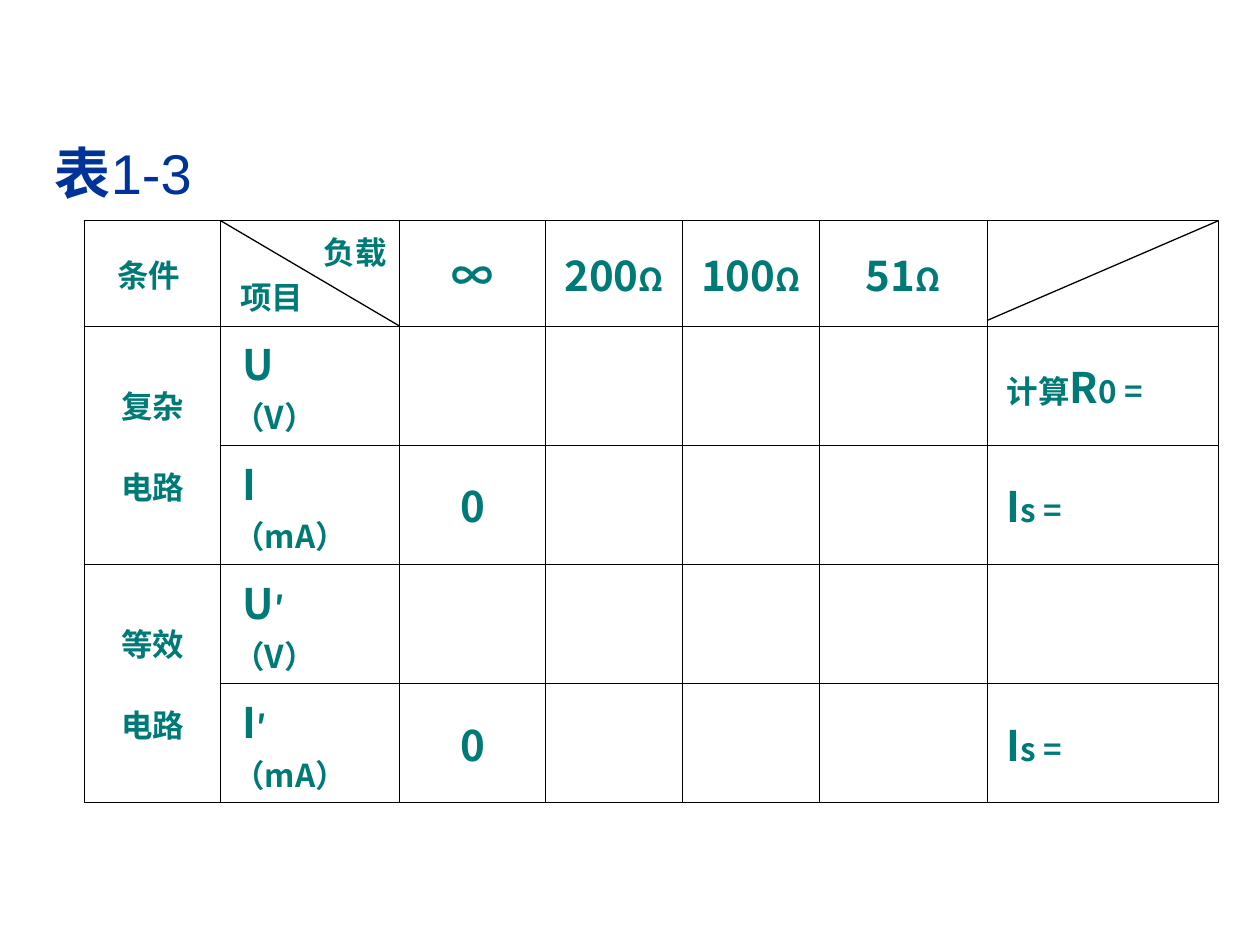
import itertools

import pptx
import pptx.dml.color
import pptx.enum.shapes
import pptx.enum.text
import pptx.oxml
import pptx.oxml.ns
import pptx.util
from pptx.util import Cm, Pt

ALIGN = pptx.enum.text.PP_ALIGN
MIDDLE = pptx.enum.text.MSO_ANCHOR.MIDDLE
BLUE, TEAL, BLACK = "003399", "007A77", "000000"
TITLE_FONT, TABLE_FONT = "Arial", "Noto Sans CJK SC"
BIG, SMALL = 24, 18

COLUMNS = [2.75, 3.6, 2.95, 2.76, 2.75, 3.39, 4.66]
ROWS = [2.12] + [2.33] * 4
LOADS = ["200", "100", "51"]


def color(value):
    return pptx.dml.color.RGBColor.from_string(value)


def add_run(p, text, size, font=TABLE_FONT, fill=TEAL, bold=True):
    r = p.add_run()
    r.text = text
    r.font.size = Pt(size)
    r.font.bold = bold
    r.font.name = font
    r.font.color.rgb = color(fill)
    ea = pptx.oxml.parse_xml(
        f'<a:ea {pptx.oxml.ns.nsdecls("a")} typeface="{font}"/>')
    r.font._element.find(pptx.oxml.ns.qn("a:latin")).addnext(ea)


def add_title(s, left, top, width, height):
    sp = s.shapes.title
    sp.left, sp.top, sp.width, sp.height = map(Cm, (left, top, width, height))
    tf = sp.text_frame
    tf.vertical_anchor = MIDDLE
    p = tf.paragraphs[0]
    p.alignment = ALIGN.LEFT
    add_run(p, "表", 32, TITLE_FONT, BLUE)
    add_run(p, "1-3", 32, TITLE_FONT, BLUE, False)
    add_run(p, " ", 44, TITLE_FONT, BLUE, False)


def add_line(s, x1, y1, x2, y2):
    line = s.shapes.add_connector(
        pptx.enum.shapes.MSO_CONNECTOR.STRAIGHT, *map(Cm, (x1, y1, x2, y2)))
    line.line.color.rgb = color(BLACK)
    line.line.width = Pt(0.75)
    line._element.spPr.append(pptx.oxml.parse_xml(
        f'<a:effectLst {pptx.oxml.ns.nsdecls("a")}/>'))


def format_cell(cell):
    """Clear the fill and draw thin black borders."""
    cell.vertical_anchor = MIDDLE
    cell.fill.background()
    cell.text_frame.paragraphs[0].font.size = Pt(SMALL)
    tc_pr = cell._tc.get_or_add_tcPr()
    for i, side in enumerate(("lnL", "lnR", "lnT", "lnB")):
        tc_pr.insert(i, pptx.oxml.parse_xml(
            f'<a:{side} {pptx.oxml.ns.nsdecls("a")} w="{Pt(0.45)}">'
            f'<a:solidFill><a:srgbClr val="{BLACK}"/></a:solidFill>'
            f'</a:{side}>'))


def write(cell, *runs, align=ALIGN.LEFT):
    """Fill the first paragraph with (text, size) runs; None breaks the line."""
    p = cell.text_frame.paragraphs[0]
    p.alignment = align
    for run in runs:
        if run is None:
            p.add_line_break()
        else:
            add_run(p, *run)


def write_second(cell, text, align, gap=0):
    p = cell.text_frame.add_paragraph()
    p.alignment = align
    p.space_before = Pt(gap)
    add_run(p, text, SMALL)


def add_measurements(s, left, top):
    frame = s.shapes.add_table(len(ROWS), len(COLUMNS), Cm(left), Cm(top),
                               Cm(sum(COLUMNS)), Cm(sum(ROWS)))
    table = frame.table
    table.first_row = table.horz_banding = False
    for column, width in zip(table.columns, COLUMNS):
        column.width = Cm(width)
    for row, height in zip(table.rows, ROWS):
        row.height = Cm(height)
    for cell in table.iter_cells():
        format_cell(cell)

    write(table.cell(0, 0), ("条件 ", SMALL), align=ALIGN.CENTER)
    corner = table.cell(0, 1)
    write(corner, ("负载", SMALL), align=ALIGN.RIGHT)
    write_second(corner, " 项目", ALIGN.LEFT)
    write(table.cell(0, 2), ("∞", BIG), align=ALIGN.CENTER)
    for c, load in enumerate(LOADS, 3):
        write(table.cell(0, c), (load, BIG), ("Ω", SMALL), align=ALIGN.CENTER)

    for r, name, prime in ((1, "复杂", ""), (3, "等效", "′")):
        circuit = table.cell(r, 0)
        circuit.merge(table.cell(r + 1, 0))
        write(circuit, (name, SMALL), align=ALIGN.CENTER)
        write_second(circuit, "电路", ALIGN.CENTER, gap=20)
        for i, (symbol, unit) in enumerate((("U", "（V）"), ("I", "（mA）"))):
            write(table.cell(r + i, 1), (" " + symbol, BIG), (prime, SMALL),
                  None, (unit, SMALL))
        write(table.cell(r + 1, 2), ("0", BIG), align=ALIGN.CENTER)
        write(table.cell(r + 1, 6), (" ", SMALL), ("I", BIG), ("s =", SMALL))
    write(table.cell(1, 6), (" 计算", SMALL), ("R", BIG), ("0 =", SMALL))

    edges = [left + x for x in itertools.accumulate(COLUMNS, initial=0)]
    add_line(s, edges[1], top, edges[2], top + ROWS[0])
    add_line(s, edges[7], top, edges[6], top + 2.01)


def main():
    prs = pptx.Presentation()
    prs.slide_width, prs.slide_height = Cm(25.4), Cm(19.05)
    s = prs.slides.add_slide(prs.slide_layouts[5])
    add_title(s, 0.85, 1.7, 23.72, 3.18)
    add_measurements(s, 1.7, 4.45)
    prs.save("out.pptx")


if __name__ == "__main__":
    main()
